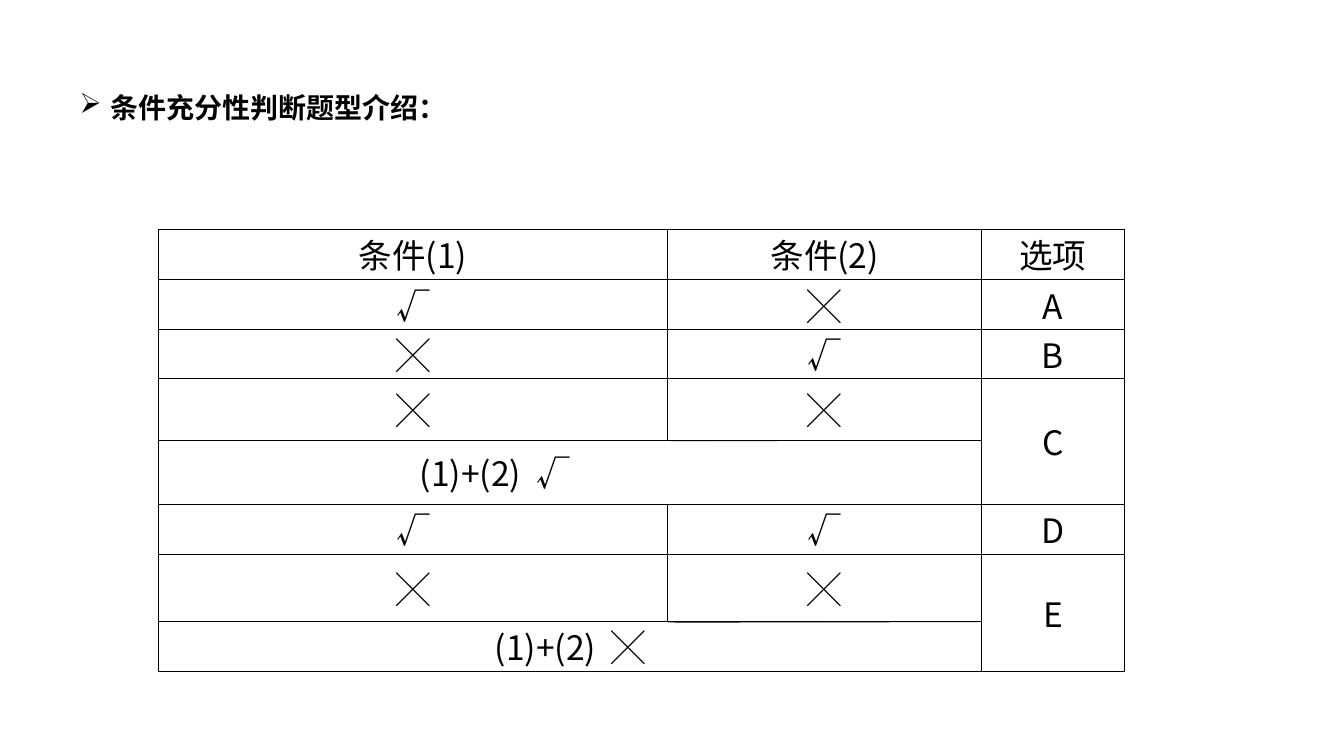
from lxml import etree
from pptx import Presentation
from pptx.dml.color import RGBColor
from pptx.enum import shapes, text
from pptx.oxml import ns
from pptx.util import Pt

PX = 9144  # EMU per px, 100 px to the inch
FONT = "Noto Sans CJK SC"
BLACK, BORDER = "000000", "080000"
YES, NO = "√", "╳"


def px(length):
    return length * PX


def color(hex_string):
    return RGBColor.from_string(hex_string)


def add_child(parent, tag, **attributes):
    return etree.SubElement(parent, ns.qn(tag), attributes)


def set_font(paragraph, size, bold=False):
    font = paragraph.font
    font.size, font.bold, font.name = Pt(size), bold, FONT
    font.color.rgb = color(BLACK)
    add_child(font._element, "a:ea", typeface=FONT)


def set_borders(cell):
    properties = cell._tc.get_or_add_tcPr()
    for side in "LRTB":
        line = add_child(properties, f"a:ln{side}", w=str(Pt(1)))
        fill = add_child(line, "a:solidFill")
        add_child(fill, "a:srgbClr", val=BORDER)


def build_heading(slide, left, top, width, height):
    heading = slide.shapes.add_textbox(px(left), px(top), px(width), px(height))
    frame = heading.text_frame
    frame.word_wrap = True
    frame.margin_left = frame.margin_right = px(20)
    frame.margin_top = frame.margin_bottom = px(10)
    paragraph = frame.paragraphs[0]
    paragraph.text = "条件充分性判断题型介绍："
    paragraph.line_spacing = 1.5
    # Hanging arrow bullet
    properties = paragraph._p.get_or_add_pPr()
    properties.set("marL", str(px(62)))
    properties.set("indent", str(px(-62)))
    add_child(properties, "a:buChar", char="➢")
    set_font(paragraph, 40, bold=True)


def build_options(slide, left, top, width, height):
    column_widths = [1011, 623, 283]
    row_heights = [100, 100, 97, 122, 127, 100, 132, 100]
    rows = [
        ["条件(1)", "条件(2)", "选项"],
        [YES, NO, "A"],
        [NO, YES, "B"],
        [NO, NO, "C"],
        [f"(1)+(2)  {YES}", "", ""],
        [YES, YES, "D"],
        [NO, NO, "E"],
        [f"(1)+(2)  {NO}", "", ""],
    ]
    table = slide.shapes.add_table(
        len(rows), len(column_widths),
        px(left), px(top), px(width), px(height)).table
    table.first_row = table.horz_banding = False
    for column, column_width in zip(table.columns, column_widths):
        column.width = px(column_width)
    for row, row_height in zip(table.rows, row_heights):
        row.height = px(row_height)

    for r, row in enumerate(rows):
        for c, wording in enumerate(row):
            cell = table.cell(r, c)
            set_borders(cell)
            cell.fill.background()
            cell.margin_left = cell.margin_right = px(15)
            cell.margin_top = cell.margin_bottom = 0
            cell.vertical_anchor = text.MSO_ANCHOR.MIDDLE
            paragraph = cell.text_frame.paragraphs[0]
            paragraph.text = wording
            paragraph.alignment = text.PP_ALIGN.CENTER
            set_font(paragraph, 48)

    # Options C and E: both conditions alone, then combined
    for r in (3, 6):
        table.cell(r, 2).merge(table.cell(r + 1, 2))
        table.cell(r + 1, 0).merge(table.cell(r + 1, 1))
    table.cell(4, 0).margin_right = px(313)


def build_divider(slide, left, top, width):
    divider = slide.shapes.add_connector(
        shapes.MSO_CONNECTOR.STRAIGHT,
        px(left), px(top), px(left + width), px(top - 1))
    divider.line.color.rgb = color(BLACK)
    divider.line.width = Pt(0.5)
    add_child(divider._element.spPr, "a:effectLst")


def main():
    presentation = Presentation()
    presentation.slide_width, presentation.slide_height = px(2667), px(1500)
    slide = presentation.slides.add_slide(presentation.slide_layouts[6])
    build_options(slide, 314, 454, 1917, 880)
    build_divider(slide, 1331, 875, 614)
    build_divider(slide, 1326, 1235, 614)
    build_heading(slide, 138, 136, 1076, 126)
    presentation.save("out.pptx")


if __name__ == "__main__":
    main()
